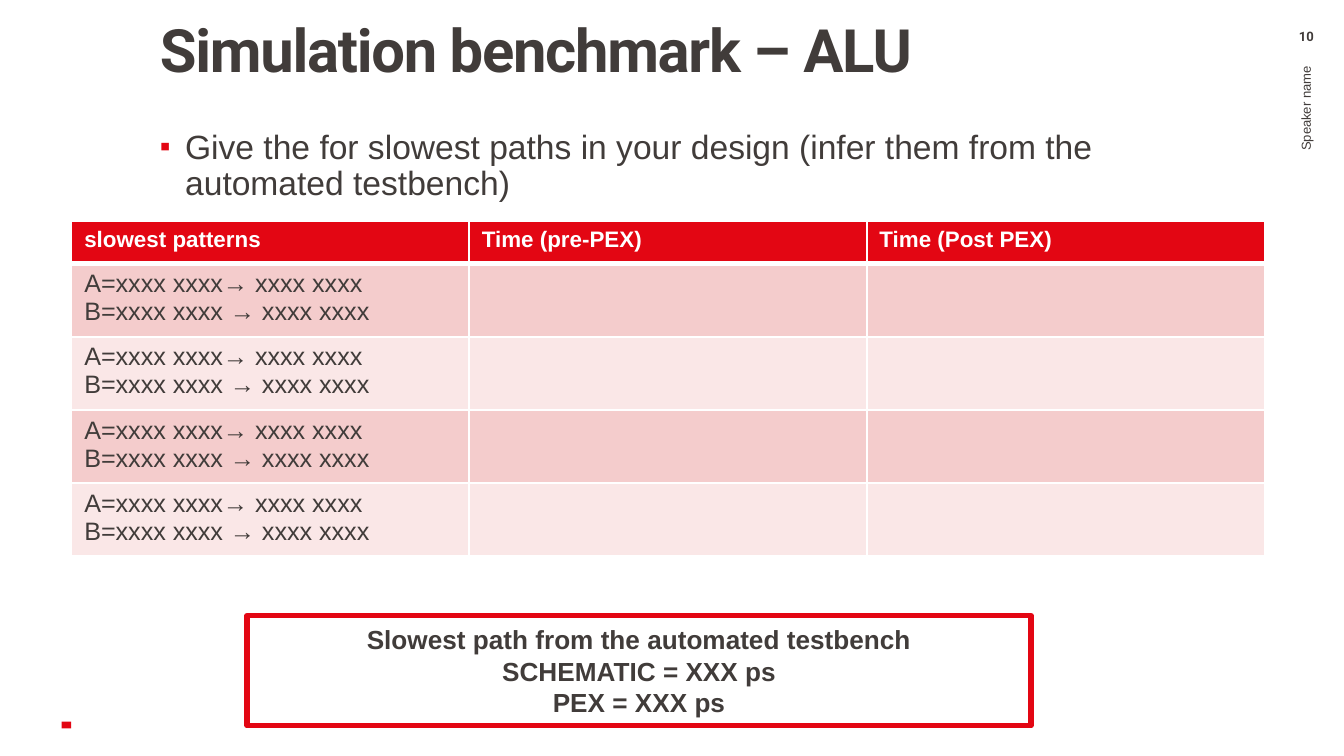
from dataclasses import dataclass

from lxml.etree import SubElement
from pptx import Presentation
from pptx.dml.color import RGBColor
from pptx.enum.shapes import MSO_SHAPE as Preset
from pptx.enum.text import MSO_ANCHOR as Anchor, PP_ALIGN as Align
from pptx.oxml.ns import qn
from pptx.util import Pt

COLORS = {
    "red": "E30613",
    "text": "413C3A",
    "white": "FFFFFF",
    "band_dark": "F4CCCC",
    "band_light": "FAE7E7",
}
HEADERS = ["slowest patterns", "Time (pre-PEX)", "Time (Post PEX)"]
PATTERN = ["A=xxxx xxxx→ xxxx xxxx", "B=xxxx xxxx → xxxx xxxx"]
PATTERN_ROWS = 4
COLUMN_WIDTH, HEADER_HEIGHT, PATTERN_HEIGHT = 213, 23, 37.2


@dataclass(frozen=True)
class Box:
    left: float
    top: float
    width: float
    height: float
    rotation: float = 0

    def lengths(self) -> tuple:
        return Pt(self.left), Pt(self.top), Pt(self.width), Pt(self.height)


@dataclass(frozen=True)
class Style:
    size: float
    font: str = "Arial"
    color: str = "text"
    bold: bool = False
    align: Align = Align.LEFT
    line_spacing: float = 1.0


@dataclass(frozen=True)
class TextItem:
    text: str
    box: Box
    style: Style
    insets: tuple = (7.2, 3.6, 7.2, 3.6)
    anchor: Anchor = Anchor.TOP


TITLE = TextItem("Simulation benchmark – ALU", Box(71.3, 14.4, 563, 51.8),
                 Style(32, "Roboto", bold=True, line_spacing=0.8), (14.4, 0, 5.8, 3.6))
SPEAKER = TextItem("Speaker name", Box(560.2, 147.6, 278.6, 40.3, 270),
                   Style(7, align=Align.RIGHT), anchor=Anchor.MIDDLE)
PAGE_NUMBER = TextItem("10", Box(679.7, 15.1, 40.3, 13),
                       Style(7, "Roboto", bold=True, align=Align.CENTER), (7.2, 0, 7.2, 0))
BODY = TextItem("Give the for slowest paths in your design (infer them from the automated testbench)",
                Box(71.3, 66.2, 608.4, 323.3), Style(18, line_spacing=0.9), (14.4, 3.6, 7.2, 3.6))
RESULT = TextItem("Slowest path from the automated testbench\nSCHEMATIC = XXX ps\nPEX = XXX ps",
                  Box(132.5, 329.8, 419.8, 59), Style(14, bold=True, align=Align.CENTER),
                  anchor=Anchor.MIDDLE)
MARKER = Box(33.8, 385.9, 3.6, 5, 270)
TABLE = Box(38.4, 118.4, COLUMN_WIDTH * len(HEADERS),
            HEADER_HEIGHT + PATTERN_HEIGHT * PATTERN_ROWS)


def rgb(name: str) -> RGBColor:
    return RGBColor.from_string(COLORS[name])


def write_text(frame, text: str, style: Style) -> None:
    frame.text = text
    for paragraph in frame.paragraphs:
        paragraph.alignment = style.align
        paragraph.line_spacing = style.line_spacing
        font = paragraph.font
        font.size, font.name, font.bold = Pt(style.size), style.font, style.bold
        font.color.rgb = rgb(style.color)


def fill_frame(frame, item: TextItem) -> None:
    """Apply the item's insets and anchor, then write its text."""
    frame.word_wrap = True
    frame.vertical_anchor = item.anchor
    (frame.margin_left, frame.margin_top,
     frame.margin_right, frame.margin_bottom) = map(Pt, item.insets)
    write_text(frame, item.text, item.style)


def add_text(slide, item: TextItem):
    shape = slide.shapes.add_textbox(*item.box.lengths())
    shape.rotation = item.box.rotation
    fill_frame(shape.text_frame, item)
    return shape.text_frame.paragraphs[0]


def add_rectangle(slide, box: Box, fill: str, line: str = "", line_width: float = 0):
    shape = slide.shapes.add_shape(Preset.RECTANGLE, *box.lengths())
    shape.rotation = box.rotation
    shape.shadow.inherit = False
    shape.fill.solid()
    shape.fill.fore_color.rgb = rgb(fill)
    if line:
        shape.line.color.rgb = rgb(line)
        shape.line.width = Pt(line_width)
    else:
        shape.line.fill.background()
    return shape


def add_bullet(paragraph) -> None:
    paragraph.space_before = Pt(7.5)
    properties = paragraph._p.get_or_add_pPr()
    properties.set("marL", str(Pt(13.5)))
    properties.set("indent", str(Pt(-13.5)))
    color = SubElement(properties, qn("a:buClr"))
    SubElement(color, qn("a:srgbClr"), val=COLORS["red"])
    SubElement(properties, qn("a:buSzPct"), val="90000")
    SubElement(properties, qn("a:buFont"), typeface="Arial")
    SubElement(properties, qn("a:buChar"), char="▪")
    defaults = properties.find(qn("a:defRPr"))
    if defaults is not None:
        properties.append(defaults)  # the schema wants it after the bullet


def format_cell(cell, fill: str, top: float = 1, bottom: float = 1) -> None:
    """Set margins, white borders (widths in points) and fill."""
    cell.margin_left = cell.margin_right = Pt(6.75)
    cell.margin_top = cell.margin_bottom = Pt(3.4)
    properties = cell._tc.get_or_add_tcPr()
    for side, width in (("L", 1), ("R", 1), ("T", top), ("B", bottom)):
        border = SubElement(properties, qn(f"a:ln{side}"), w=str(Pt(width)))
        solid = SubElement(border, qn("a:solidFill"))
        SubElement(solid, qn("a:srgbClr"), val=COLORS["white"])
    cell.fill.solid()
    cell.fill.fore_color.rgb = rgb(fill)


def add_pattern_table(slide) -> None:
    table = slide.shapes.add_table(PATTERN_ROWS + 1, len(HEADERS), *TABLE.lengths()).table
    for column in table.columns:
        column.width = Pt(COLUMN_WIDTH)
    for index, row in enumerate(table.rows):
        row.height = Pt(PATTERN_HEIGHT if index else HEADER_HEIGHT)
    for cell, header in zip(table.rows[0].cells, HEADERS):
        format_cell(cell, "red", bottom=3)
        write_text(cell.text_frame, header, Style(12, color="white", bold=True))
    for index in range(1, PATTERN_ROWS + 1):
        cells = table.rows[index].cells
        for cell in cells:
            format_cell(cell, "band_dark" if index % 2 else "band_light",
                        top=3 if index == 1 else 1)
        write_text(cells[0].text_frame, "\n".join(PATTERN), Style(13.5))


def main() -> None:
    presentation = Presentation()
    presentation.slide_width, presentation.slide_height = Pt(720), Pt(405)
    slide = presentation.slides.add_slide(presentation.slide_layouts[6])

    add_rectangle(slide, MARKER, "red")
    title = add_text(slide, TITLE)
    title.runs[0]._r.get_or_add_rPr().set("spc", "-70")
    add_text(slide, SPEAKER)
    add_text(slide, PAGE_NUMBER)
    add_pattern_table(slide)
    result = add_rectangle(slide, RESULT.box, "white", "red", 3)
    fill_frame(result.text_frame, RESULT)
    add_bullet(add_text(slide, BODY))

    presentation.save("out.pptx")


if __name__ == "__main__":
    main()
